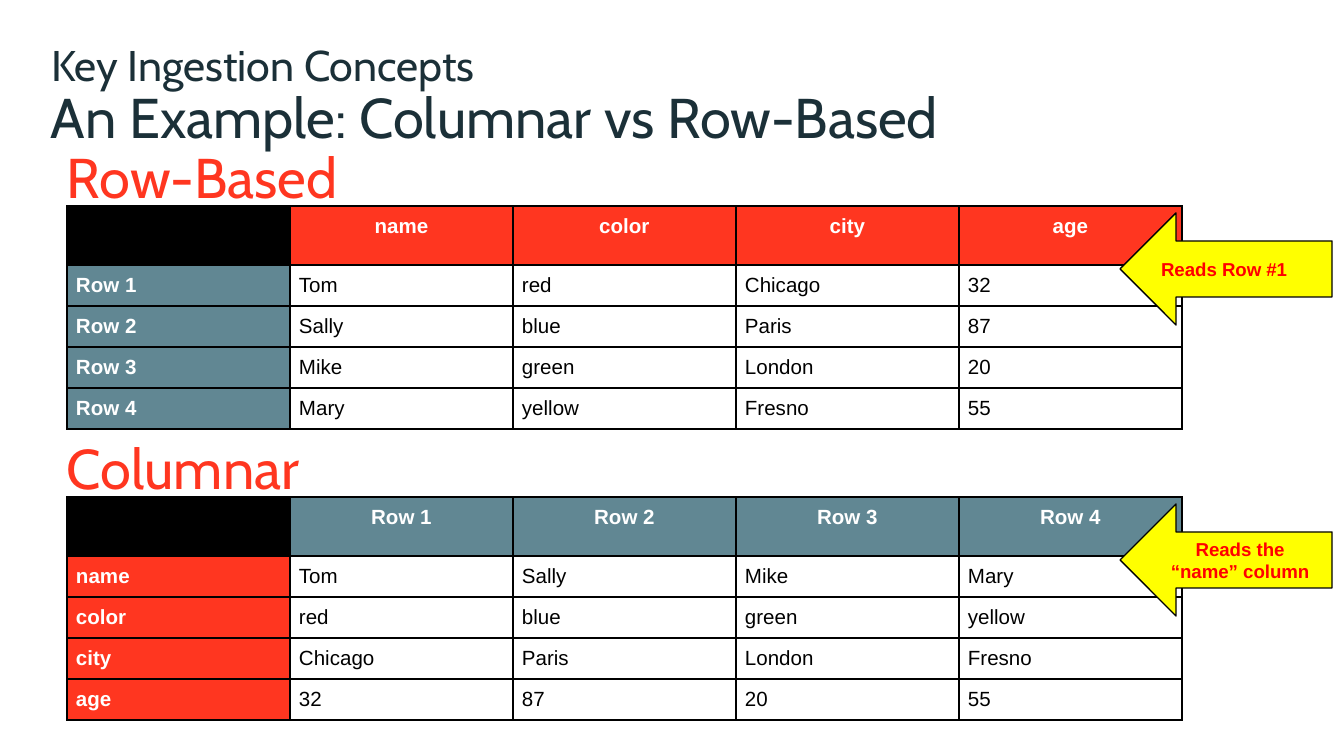
from lxml import etree
from pptx import Presentation
from pptx.dml.color import RGBColor
from pptx.enum.shapes import MSO_SHAPE
from pptx.enum.text import MSO_ANCHOR, MSO_AUTO_SIZE, PP_ALIGN
from pptx.oxml.ns import qn
from pptx.util import Emu, Pt

LEFT_ARROW = MSO_SHAPE.LEFT_ARROW
TOP, MIDDLE = MSO_ANCHOR.TOP, MSO_ANCHOR.MIDDLE
NO_FIT = MSO_AUTO_SIZE.NONE
LEFT, CENTER = PP_ALIGN.LEFT, PP_ALIGN.CENTER

BLACK = RGBColor(0x00, 0x00, 0x00)
WHITE = RGBColor(0xFF, 0xFF, 0xFF)
NAVY = RGBColor(0x1B, 0x30, 0x38)
ORANGE = RGBColor(0xFF, 0x36, 0x20)
TEAL = RGBColor(0x61, 0x87, 0x93)
YELLOW = RGBColor(0xFF, 0xFF, 0x00)
RED = RGBColor(0xFF, 0x00, 0x00)

SLIDE_W, SLIDE_H = 1344, 756
EMU_PER_PX = 9144000 / SLIDE_W


def px(n):
    return Emu(round(n * EMU_PER_PX))


class SlideBuilder:
    heading_font = "Cabin"
    body_font = "Arial"
    cell_inset = 9
    column_width = 223
    header_height = 56
    row_height = 41

    def __init__(self, slide):
        self.s = slide

    def set_text(self, tf, text, font, size, color, bold=False, align=LEFT):
        tf.text = text
        p = tf.paragraphs[0]
        p.alignment = align
        for r in p.runs:
            r.font.name = font
            r.font.size = Pt(size)
            r.font.bold = bold
            r.font.color.rgb = color
        return p

    def heading(self, sp, text, size, color, spacing=1.0):
        tf = sp.text_frame
        tf.word_wrap = True
        tf.auto_size = NO_FIT
        tf.vertical_anchor = TOP
        tf.margin_left = tf.margin_right = 0
        tf.margin_top = tf.margin_bottom = px(5)
        p = self.set_text(tf, text, self.heading_font, size, color)
        p.line_spacing = spacing

    def title(self, text, x, y, w, h):
        sp = self.s.shapes.title
        sp.left, sp.top, sp.width, sp.height = map(px, (x, y, w, h))
        self.heading(sp, text, 23, NAVY)

    def label(self, text, x, y, w, h, color, spacing):
        sp = self.s.shapes.add_textbox(px(x), px(y), px(w), px(h))
        self.heading(sp, text, 30, color, spacing)

    def border(self, cell):
        tc_pr = cell._tc.get_or_add_tcPr()
        for i, side in enumerate(("a:lnL", "a:lnR", "a:lnT", "a:lnB")):
            ln = etree.Element(qn(side), w=str(Pt(1)))
            fill = etree.SubElement(ln, qn("a:solidFill"))
            etree.SubElement(fill, qn("a:srgbClr"), val=str(BLACK))
            tc_pr.insert(i, ln)

    def cell(self, cell, text, fill, color, bold, align):
        cell.margin_left = cell.margin_right = px(self.cell_inset)
        cell.margin_top = cell.margin_bottom = px(self.cell_inset)
        if fill is None:
            cell.fill.background()
        else:
            cell.fill.solid()
            cell.fill.fore_color.rgb = fill
        if text:
            self.set_text(cell.text_frame, text, self.body_font, 11, color, bold, align)
        self.border(cell)

    def table(self, rows, x, y, header_fill, side_fill):
        n_rows, n_cols = len(rows), len(rows[0])
        h = self.header_height + (n_rows - 1) * self.row_height
        frame = self.s.shapes.add_table(
            n_rows, n_cols, px(x), px(y), px(n_cols * self.column_width), px(h))
        table = frame.table
        table.first_row = table.horz_banding = False
        for column in table.columns:
            column.width = px(self.column_width)
        for i, row in enumerate(rows):
            table.rows[i].height = px(self.row_height if i else self.header_height)
            for j, text in enumerate(row):
                if i and j:
                    fill = None
                elif i:
                    fill = side_fill
                else:
                    fill = header_fill if j else BLACK
                self.cell(table.cell(i, j), text, fill,
                          BLACK if fill is None else WHITE,
                          fill is not None, LEFT if i else CENTER)

    def arrow(self, text, x, y, w, h, align):
        sp = self.s.shapes.add_shape(LEFT_ARROW, px(x), px(y), px(w), px(h))
        sp.shadow.inherit = False
        sp.fill.solid()
        sp.fill.fore_color.rgb = YELLOW
        sp.line.color.rgb = BLACK
        sp.line.width = Pt(0.75)
        tf = sp.text_frame
        tf.word_wrap = True
        tf.vertical_anchor = MIDDLE
        tf.margin_left = tf.margin_right = px(13)
        tf.margin_top = tf.margin_bottom = px(13)
        self.set_text(tf, text, self.body_font, 10, RED, True, align)


def main():
    prs = Presentation()
    prs.slide_width, prs.slide_height = px(SLIDE_W), px(SLIDE_H)
    b = SlideBuilder(prs.slides.add_slide(prs.slide_layouts[5]))

    records = [
        ("", "name", "color", "city", "age"),
        ("Row 1", "Tom", "red", "Chicago", "32"),
        ("Row 2", "Sally", "blue", "Paris", "87"),
        ("Row 3", "Mike", "green", "London", "20"),
        ("Row 4", "Mary", "yellow", "Fresno", "55"),
    ]
    sections = [
        ("Row-Based", 206, records, ORANGE, TEAL, "Reads Row #1", LEFT),
        ("Columnar", 497, list(zip(*records)), TEAL, ORANGE,
         "Reads the “name” column", CENTER),
    ]

    b.title("Key Ingestion Concepts", 51, 34, 1292, 56)
    b.label("An Example: Columnar vs Row-Based", 51, 78, 1293, 67, NAVY, 1.0)
    for name, y, rows, header_fill, side_fill, note, align in sections:
        b.label(name, 67, y - 61, 1109, 44, ORANGE, 0.9)
        b.table(rows, 67, y, header_fill, side_fill)
        b.arrow(note, 1120, y + 7, 212, 112, align)
    prs.save("out.pptx")


if __name__ == "__main__":
    main()
